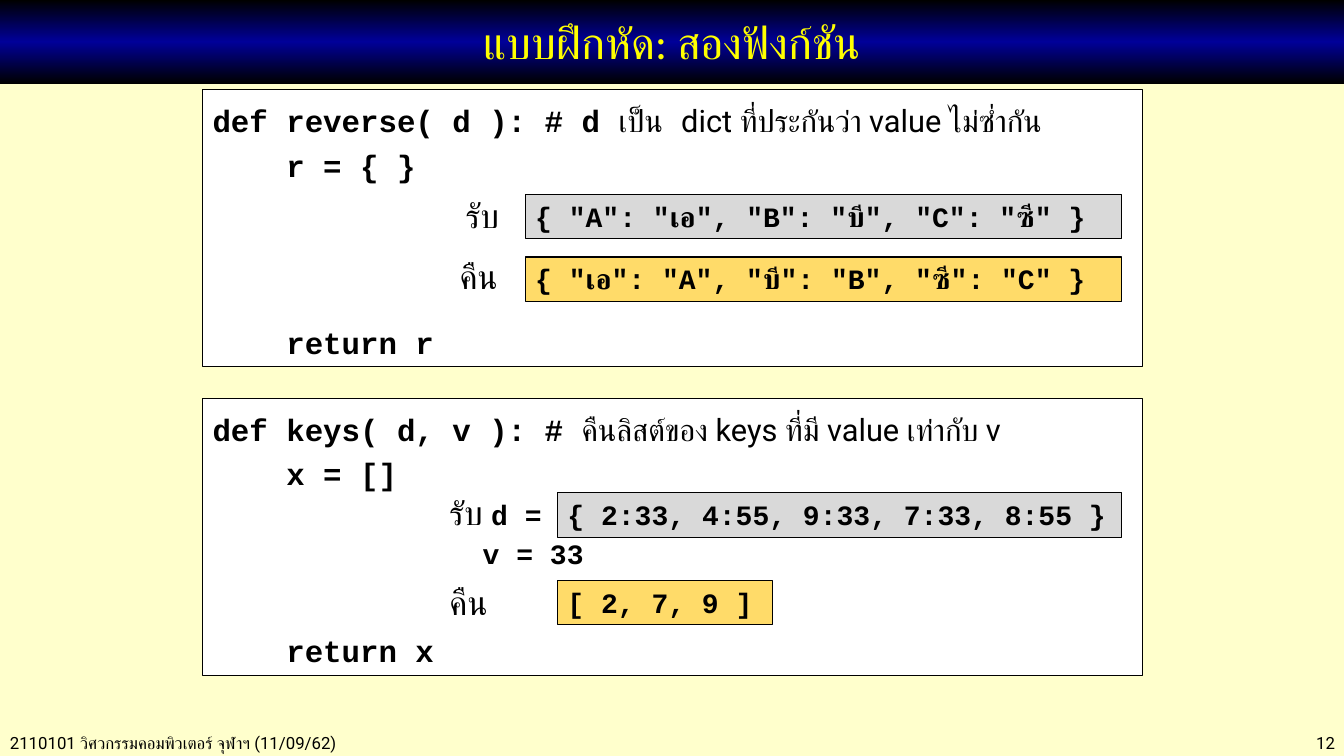
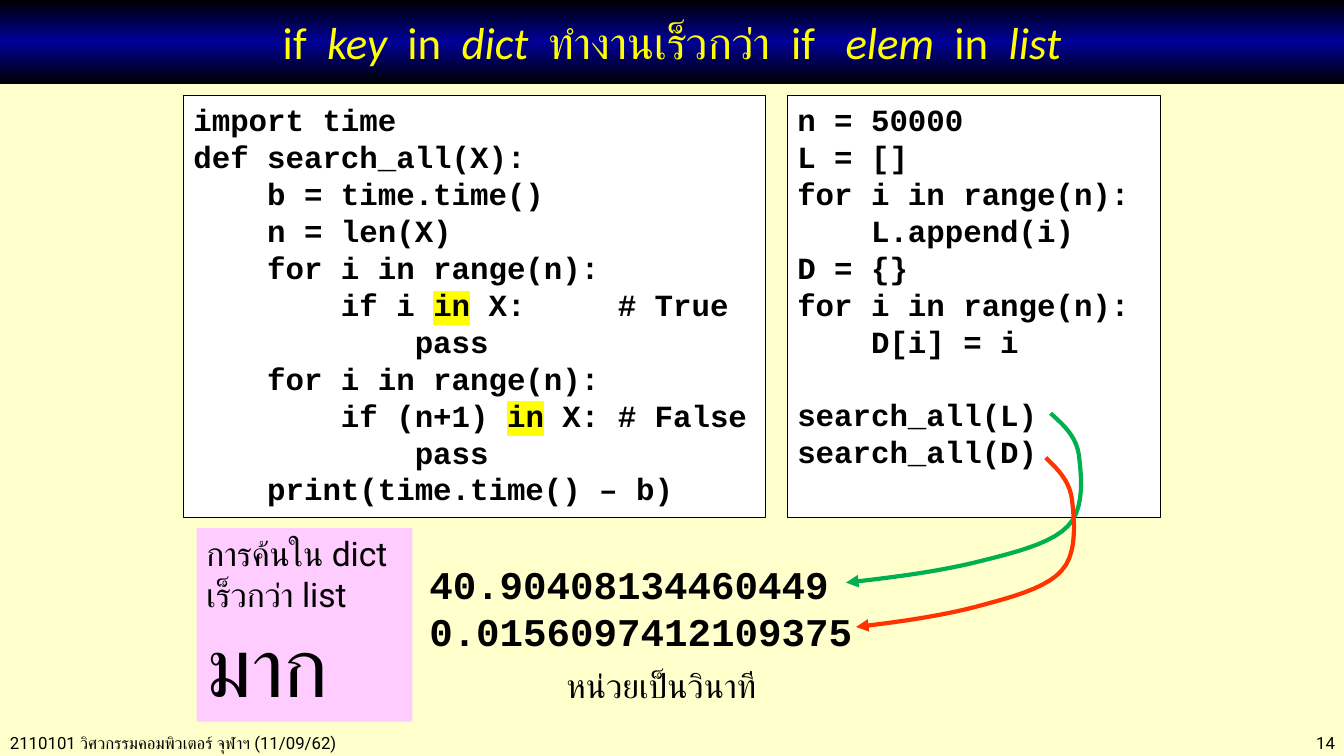
from copy import deepcopy
from dataclasses import dataclass, replace

from lxml.etree import SubElement
from pptx import Presentation
from pptx.dml.color import RGBColor
from pptx.enum.shapes import MSO_SHAPE
from pptx.enum.text import MSO_ANCHOR, PP_ALIGN
from pptx.oxml.ns import qn
from pptx.util import Emu, Pt

EMU_PER_PX = 9144  # 100 px to the inch
SLIDE_WIDTH, SLIDE_HEIGHT = 1333, 750

BLACK = RGBColor(0x00, 0x00, 0x00)
WHITE = RGBColor(0xFF, 0xFF, 0xFF)
CREAM = RGBColor(0xFF, 0xFF, 0xCC)
NAVY = RGBColor(0x00, 0x00, 0x99)
YELLOW = RGBColor(0xFF, 0xFF, 0x00)
GREY = RGBColor(0xD9, 0xD9, 0xD9)
GOLD = RGBColor(0xFF, 0xDB, 0x69)
PINK = RGBColor(0xFF, 0xCC, 0xFF)
GREEN = RGBColor(0x00, 0xB0, 0x50)
RED = RGBColor(0xFF, 0x33, 0x00)


@dataclass(frozen=True)
class TextStyle:
    font: str
    size: int
    bold: bool = False
    italic: bool = False
    color: RGBColor = BLACK
    highlighted: bool = False


TITLE = TextStyle("Calibri", 32, color=YELLOW)
TITLE_ITALIC = replace(TITLE, italic=True)
FOOTER = TextStyle("Roboto", 12)
CODE = TextStyle("Courier New", 22, bold=True)
CODE_PLAIN = replace(CODE, bold=False)
CODE_MARKED = replace(CODE, highlighted=True)
COMMENT = TextStyle("Roboto", 22)
VALUE = replace(CODE, size=20)
RESULT = replace(CODE, size=28)
LABEL = TextStyle("Roboto", 24)
EMPHASIS = replace(LABEL, size=60)

FOOTER_TEXT = "2110101 วิศวกรรมคอมพิวเตอร์ จุฬาฯ (11/09/62)"

# Start point, then three points for each Bezier piece, from the left top corner
ARROW_WIDTH = 233
ARROW_CURVE = [
    (203, 0),
    (215, 11), (228, 22), (231, 41),
    (233, 59), (238, 94), (220, 112),
    (203, 130), (164, 139), (128, 148),
    (91, 157), (46, 163), (0, 168),
]


def px(length):
    return Emu(round(length * EMU_PER_PX))


def bezier_points(curve, steps=10):
    """Points along a chain of cubic Bezier pieces, without the start."""
    for first in range(0, len(curve) - 1, 3):
        corners = curve[first:first + 4]
        for step in range(1, steps + 1):
            t = step / steps
            weights = ((1 - t) ** 3, 3 * t * (1 - t) ** 2,
                       3 * t * t * (1 - t), t ** 3)
            yield tuple(sum(w * corner[axis] for w, corner in zip(weights, corners))
                        for axis in (0, 1))


class Deck:
    def __init__(self):
        self.presentation = Presentation()
        self.presentation.slide_width = px(SLIDE_WIDTH)
        self.presentation.slide_height = px(SLIDE_HEIGHT)
        self.slide = None

    def add_slide(self, title, number):
        blank = self.presentation.slide_layouts[6]
        self.slide = self.presentation.slides.add_slide(blank)
        background = self.slide.background.fill
        background.solid()
        background.fore_color.rgb = CREAM
        self.text(0, 722, 520, 30, [FOOTER_TEXT], FOOTER)
        self.text(1150, 722, 184, 30, [number], FOOTER, PP_ALIGN.RIGHT)
        self.title_band(title)

    def title_band(self, title):
        band = self.box(0, 0, SLIDE_WIDTH, 83, [title], TITLE, NAVY,
                        outlined=False, align=PP_ALIGN.CENTER)
        band.text_frame.vertical_anchor = MSO_ANCHOR.MIDDLE
        band.fill.gradient()
        band.fill.gradient_angle = 270
        stops = band._element.spPr.find(qn("a:gradFill")).find(qn("a:gsLst"))
        stops.append(deepcopy(stops[-1]))
        shades = ((0, BLACK), (0.5, NAVY), (1, BLACK))
        for stop, (position, color) in zip(band.fill.gradient_stops, shades):
            stop.position = position
            stop.color.rgb = color

    def text(self, left, top, width, height, lines, style, align=PP_ALIGN.LEFT):
        area = self.slide.shapes.add_textbox(px(left), px(top), px(width), px(height))
        self.set_lines(area.text_frame, lines, style, align)
        return area

    def box(self, left, top, width, height, lines, style, color,
            outlined=True, align=PP_ALIGN.LEFT):
        area = self.slide.shapes.add_shape(
            MSO_SHAPE.RECTANGLE, px(left), px(top), px(width), px(height))
        area.shadow.inherit = False
        area.fill.solid()
        area.fill.fore_color.rgb = color
        if outlined:
            area.line.color.rgb = BLACK
            area.line.width = Pt(0.75)
        else:
            area.line.fill.background()
        area.text_frame.vertical_anchor = MSO_ANCHOR.TOP
        self.set_lines(area.text_frame, lines, style, align)
        return area

    def set_lines(self, frame, lines, style, align):
        """Each line is a string or a list of (text, style) runs."""
        frame.word_wrap = True
        for index, line in enumerate(lines):
            paragraph = frame.add_paragraph() if index else frame.paragraphs[0]
            paragraph.alignment = align
            for words, run_style in [(line, style)] if isinstance(line, str) else line:
                run = paragraph.add_run()
                run.text = words
                self.format_run(run, run_style)

    def format_run(self, run, style):
        font = run.font
        font.name = style.font
        font.size = Pt(style.size)
        font.bold = style.bold
        font.italic = style.italic
        font.color.rgb = style.color
        properties = run._r.get_or_add_rPr()
        SubElement(properties, qn("a:cs")).set("typeface", style.font)
        if style.highlighted:
            highlight = SubElement(properties, qn("a:highlight"))
            SubElement(highlight, qn("a:srgbClr")).set("val", str(YELLOW))
            properties.find(qn("a:solidFill")).addnext(highlight)

    def exercise(self, top, lines):
        """A function to complete, with room left above its return line."""
        panel = self.box(201, top, 932, 275, lines, CODE, WHITE)
        paragraphs = panel.text_frame.paragraphs
        for paragraph in paragraphs:
            paragraph.line_spacing = 1.2
        paragraphs[-1].space_before = Pt(95)

    def value(self, left, top, width, literal, color):
        self.box(left, top, width, 44, [literal], VALUE, color)

    def curved_arrow(self, left, top, width, color):
        stretch = width / ARROW_WIDTH
        curve = [(px(left + x * stretch), px(top + y)) for x, y in ARROW_CURVE]
        builder = self.slide.shapes.build_freeform(*curve[0])
        builder.add_line_segments(bezier_points(curve), close=False)
        arrow = builder.convert_to_shape()
        arrow.shadow.inherit = False
        arrow.fill.background()
        arrow.line.color.rgb = color
        arrow.line.width = Pt(3)
        SubElement(arrow.line._get_or_add_ln(), qn("a:tailEnd")).set("type", "triangle")


def add_exercises(deck):
    deck.add_slide("แบบฝึกหัด: สองฟังก์ชัน", "12")

    deck.exercise(89, [
        [("def reverse( d ): # d ", CODE), ("เป็น ", CODE_PLAIN),
         ("dict ที่ประกันว่า value ", COMMENT), ("ไม่ซ่ำกัน", CODE_PLAIN)],
        "    r = { }",
        "    return r",
    ])
    deck.value(521, 193, 591, '{ "A": "เอ", "B": "บี", "C": "ซี" }', GREY)
    deck.text(452, 188, 70, 50, ["รับ"], LABEL)
    deck.text(446, 249, 70, 50, ["คืน"], LABEL)
    deck.value(521, 255, 591, '{ "เอ": "A", "บี": "B", "ซี": "C" }', GOLD)

    deck.exercise(395, [
        [("def keys( d, v ): # ", CODE),
         ("คืนลิสต์ของ keys ที่มี value เท่ากับ v", COMMENT)],
        "    x = []",
        "    return x",
    ])
    deck.value(553, 489, 559, "{ 2:33, 4:55, 9:33, 7:33, 8:55 }", GREY)
    arguments = deck.text(436, 483, 180, 91, [
        [("รับ ", LABEL), ("d =", VALUE)],
        "v = 33",
    ], VALUE)
    v_line = arguments.text_frame.paragraphs[1]
    v_line._p.get_or_add_pPr().set("marL", str(px(33)))
    v_line.space_before = Pt(3)
    deck.text(436, 572, 70, 50, ["คืน"], LABEL)
    deck.value(553, 576, 213, "[ 2, 7, 9 ]", GOLD)


def add_speed_comparison(deck):
    deck.add_slide([
        ("if  ", TITLE), ("key  ", TITLE_ITALIC), ("in  ", TITLE),
        ("dict  ", TITLE_ITALIC), ("ทำงานเร็วกว่า  if   ", TITLE),
        ("elem  ", TITLE_ITALIC), ("in", TITLE), ("  list", TITLE_ITALIC),
    ], "14")

    deck.box(182, 95, 577, 418, [
        "import time",
        "def search_all(X):",
        "    b = time.time()",
        "    n = len(X)",
        "    for i in range(n):",
        [("        if i ", CODE), ("in", CODE_MARKED), (" X:     # True", CODE)],
        "            pass",
        "    for i in range(n):",
        [("        if (n+1) ", CODE), ("in", CODE_MARKED), (" X: # False", CODE)],
        "            pass",
        "    print(time.time() – b)",
    ], CODE, WHITE)
    calls = deck.box(781, 95, 370, 418, [
        "n = 50000",
        "L = []",
        "for i in range(n):",
        "    L.append(i)",
        "D = {}",
        "for i in range(n):",
        "    D[i] = i",
        "search_all(L)",
        "search_all(D)",
    ], CODE, WHITE)
    calls.text_frame.paragraphs[-2].space_before = Pt(26)

    deck.text(416, 551, 446, 104, ["40.90408134460449", "0.0156097412109375"], RESULT)
    deck.text(552, 655, 229, 50, ["หน่วยเป็นวินาที"], LABEL)
    deck.curved_arrow(839, 410, 233, GREEN)
    deck.curved_arrow(849, 454, 216, RED)
    deck.box(195, 524, 214, 192, [
        "การค้นใน dict เร็วกว่า list",
        [("มาก", EMPHASIS)],
    ], LABEL, PINK, outlined=False)


def main():
    deck = Deck()
    add_exercises(deck)
    add_speed_comparison(deck)
    deck.presentation.save("out.pptx")


if __name__ == "__main__":
    main()
